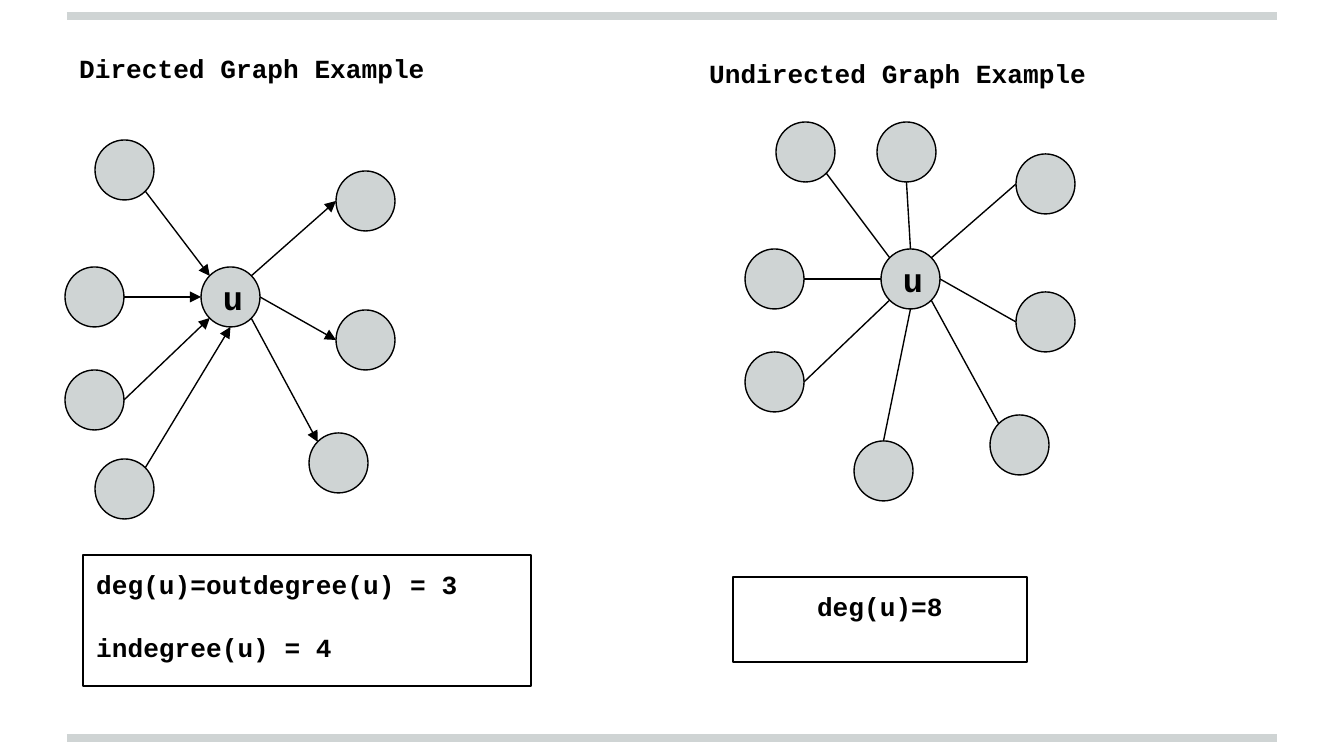
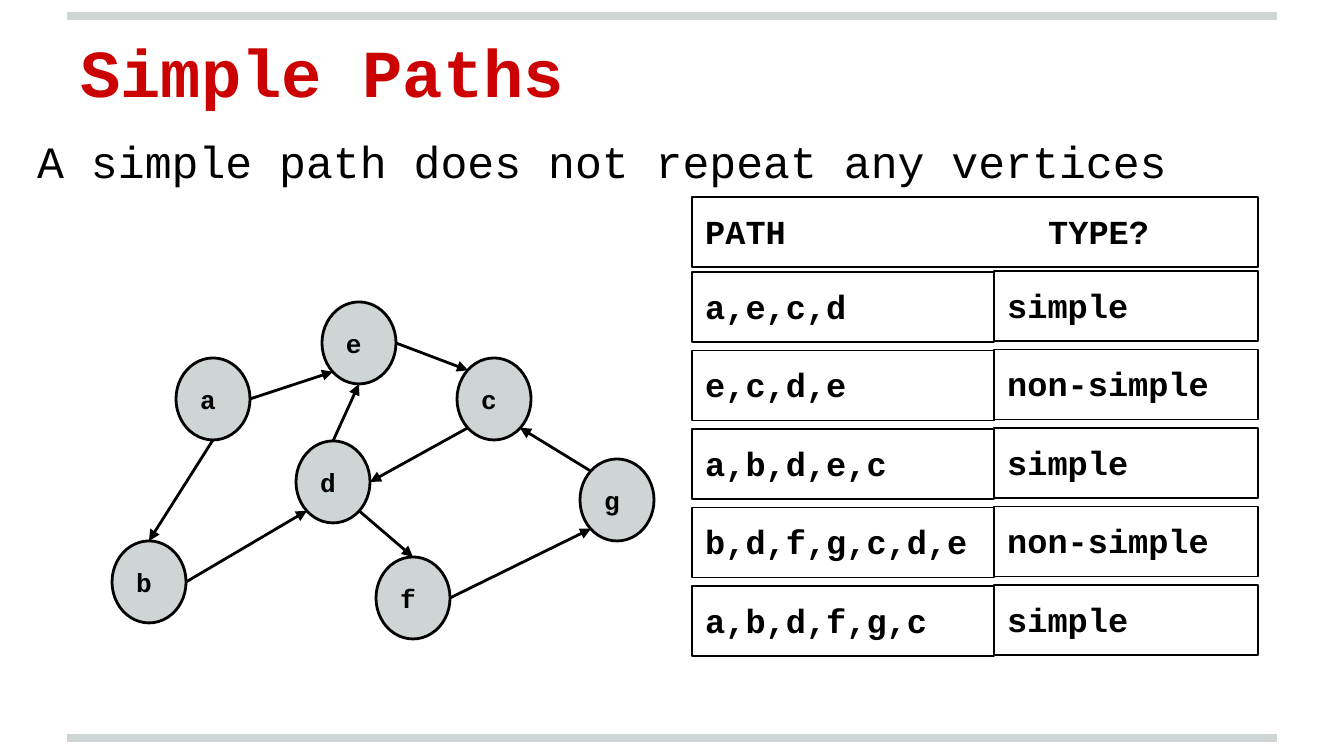
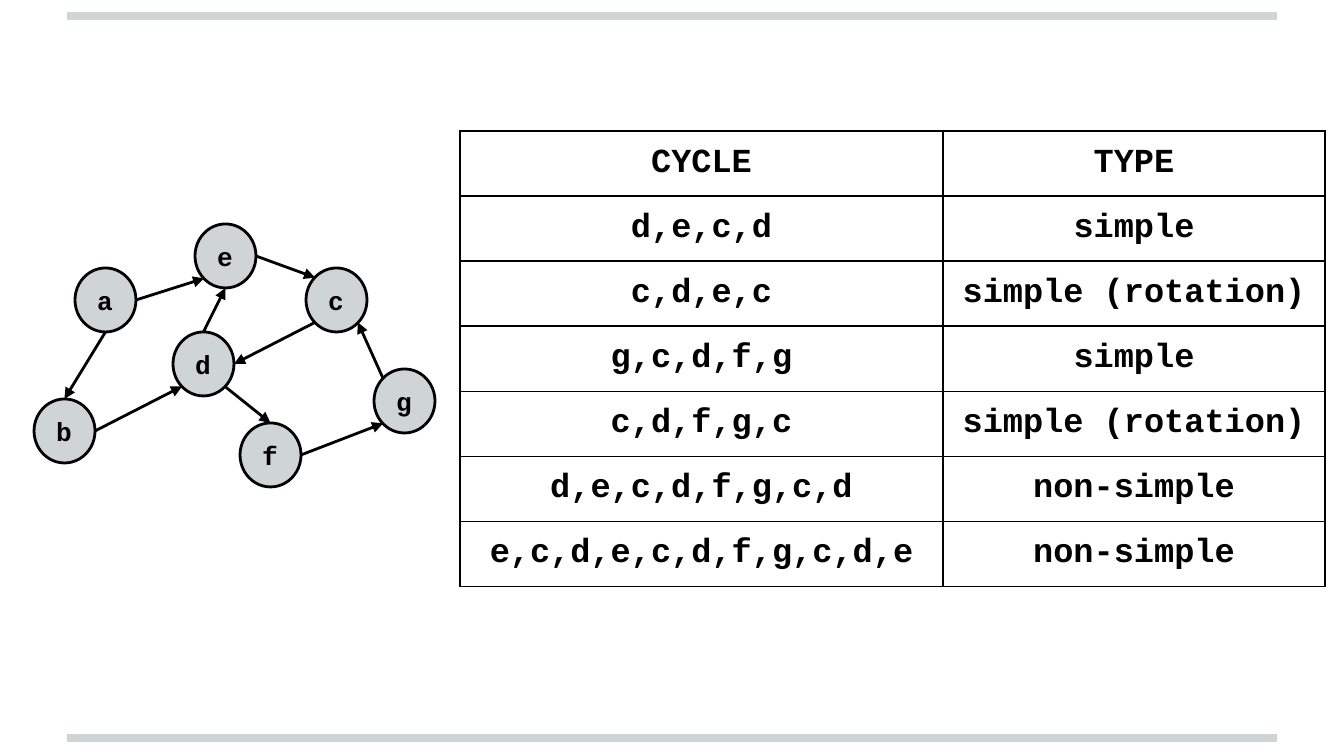
from lxml.etree import SubElement
from pptx import Presentation
from pptx.dml.color import RGBColor
from pptx.enum.shapes import MSO_CONNECTOR, MSO_SHAPE
from pptx.enum.text import MSO_ANCHOR, PP_ALIGN
from pptx.oxml import parse_xml
from pptx.oxml.ns import nsdecls, qn
from pptx.util import Pt

# Shared look
PX = 914400 / 134.4
SLIDE_SIZE = (1344, 756)
INSET = 13.44
FONT = "Courier New"
BLACK = RGBColor(0x00, 0x00, 0x00)
RED = RGBColor(0xCC, 0x02, 0x02)
GREY = RGBColor(0xCF, 0xD4, 0xD4)
THIN, THICK, BAND = 0.75, 1.5, 4
BAND_LEFT, BAND_RIGHT, BAND_ROWS = 67, 1277, (738, 16)

# Points on an ellipse, as fractions of its width and height
NEAR, FAR = 0.15, 0.85
ANCHORS = {
    "top": (0.5, 0), "bottom": (0.5, 1), "left": (0, 0.5), "right": (1, 0.5),
    "top left": (NEAR, NEAR), "top right": (FAR, NEAR),
    "bottom left": (NEAR, FAR), "bottom right": (FAR, FAR),
}

# Slide 1: vertex degrees
DEGREE_NODE = (59, 60)
DIRECTED_NODES = {
    "u": (201, 267), "in 1": (95, 140), "in 2": (65, 267), "in 3": (65, 370),
    "in 4": (95, 459), "out 1": (336, 171), "out 2": (336, 310), "out 3": (309, 433),
}
DIRECTED_EDGES = [
    ("in 1", "bottom right", "u", "top left"),
    ("in 2", "right", "u", "left"),
    ("in 3", "right", "u", "bottom left"),
    ("in 4", "top right", "u", "bottom"),
    ("u", "top right", "out 1", "left"),
    ("u", "right", "out 2", "left"),
    ("u", "bottom right", "out 3", "top left"),
]
UNDIRECTED_NODES = {
    "u": (881, 249), "1": (776, 122), "2": (745, 249), "3": (745, 352), "4": (854, 441),
    "5": (1016, 154), "6": (1016, 292), "7": (990, 415), "8": (877, 122),
}
UNDIRECTED_EDGES = [
    ("1", "bottom right", "u", "top left"),
    ("2", "right", "u", "left"),
    ("3", "right", "u", "bottom left"),
    ("4", "top", "u", "bottom"),
    ("u", "top right", "5", "left"),
    ("u", "right", "6", "left"),
    ("u", "bottom right", "7", "top left"),
    ("8", "bottom", "u", "top"),
]
HEADINGS = [
    ("Directed Graph Example", (66, 39, 380, 66)),
    ("Undirected Graph Example", (696, 44, 465, 66)),
]
DEGREES = [
    (["deg(u)=outdegree(u) = 3", "indegree(u) = 4"], (83, 555, 448, 131), PP_ALIGN.LEFT),
    (["deg(u)=8"], (733, 577, 294, 85), PP_ALIGN.CENTER),
]

# Slides 2 and 3: one graph, drawn at two sizes
GRAPH_EDGES = [
    ("a", "right", "e", "bottom left"),
    ("e", "right", "c", "top left"),
    ("c", "bottom left", "d", "right"),
    ("d", "top", "e", "bottom"),
    ("a", "bottom", "b", "top"),
    ("b", "right", "d", "bottom left"),
    ("d", "bottom right", "f", "top"),
    ("f", "right", "g", "bottom left"),
    ("g", "top left", "c", "bottom right"),
]
PATH_NODE = (74, 82)
PATH_NODES = {
    "a": (176, 358), "d": (296, 441), "b": (112, 541), "f": (376, 557),
    "c": (457, 358), "g": (580, 459), "e": (322, 302),
}
CYCLE_NODE = (61, 64)
CYCLE_NODES = {
    "a": (75, 268), "d": (173, 332), "b": (34, 399), "f": (240, 423),
    "c": (306, 268), "g": (374, 369), "e": (195, 224),
}
PATHS = [
    ("a,e,c,d", "simple"),
    ("e,c,d,e", "non-simple"),
    ("a,b,d,e,c", "simple"),
    ("b,d,f,g,c,d,e", "non-simple"),
    ("a,b,d,f,g,c", "simple"),
]
CYCLES = [
    ("CYCLE", "TYPE"),
    ("d,e,c,d", "simple"),
    ("c,d,e,c", "simple (rotation)"),
    ("g,c,d,f,g", "simple"),
    ("c,d,f,g,c", "simple (rotation)"),
    ("d,e,c,d,f,g,c,d", "non-simple"),
    ("e,c,d,e,c,d,f,g,c,d,e", "non-simple"),
]
CYCLE_COLUMNS = (483, 382)
CYCLE_ROW = 57


def px(*lengths):
    return [round(length * PX) for length in lengths]


def write(frame, lines, size, bold=True, color=BLACK, align=PP_ALIGN.LEFT, gap=0):
    for index, line in enumerate(lines):
        paragraph = frame.paragraphs[0] if index == 0 else frame.add_paragraph()
        paragraph.alignment = align
        if index:
            paragraph.space_before = Pt(gap)
        run = paragraph.add_run()
        run.text = line
        run.font.name, run.font.size = FONT, Pt(size)
        run.font.bold, run.font.color.rgb = bold, color


def set_frame(frame, anchor):
    frame.word_wrap = True
    frame.vertical_anchor = anchor
    frame.margin_left, frame.margin_top, frame.margin_right, frame.margin_bottom = px(*[INSET] * 4)


def add_text(slide, text, box, size, anchor=MSO_ANCHOR.TOP, **style):
    frame = slide.shapes.add_textbox(*px(*box)).text_frame
    set_frame(frame, anchor)
    write(frame, [text], size, **style)


def add_outlined(slide, kind, box, width, fill=None, anchor=MSO_ANCHOR.TOP):
    shape = slide.shapes.add_shape(kind, *px(*box))
    shape.shadow.inherit = False
    if fill is None:
        shape.fill.background()
    else:
        shape.fill.solid()
        shape.fill.fore_color.rgb = fill
    shape.line.color.rgb, shape.line.width = BLACK, Pt(width)
    set_frame(shape.text_frame, anchor)
    return shape


def add_box(slide, lines, box, size, **style):
    shape = add_outlined(slide, MSO_SHAPE.RECTANGLE, box, THIN)
    write(shape.text_frame, lines, size, **style)
    return shape


def add_line(slide, start, end, width, color=BLACK, arrow=False):
    line = slide.shapes.add_connector(MSO_CONNECTOR.STRAIGHT, *px(*start, *end))
    line.line.color.rgb, line.line.width = color, Pt(width)
    if arrow:
        SubElement(line.line._get_or_add_ln(), qn("a:tailEnd"), type="triangle")
    SubElement(line._element.spPr, qn("a:effectLst"))


def add_graph(slide, nodes, node_size, edges, width, label_size, arrow=True):
    for name, corner in nodes.items():
        node = add_outlined(slide, MSO_SHAPE.OVAL, (*corner, *node_size), width, GREY,
                            MSO_ANCHOR.MIDDLE)
        if name.isalpha():
            write(node.text_frame, [name], label_size)

    def point(name, anchor):
        return [corner + fraction * size for corner, fraction, size
                in zip(nodes[name], ANCHORS[anchor], node_size)]

    for source, source_anchor, target, target_anchor in edges:
        add_line(slide, point(source, source_anchor), point(target, target_anchor),
                 width, arrow=arrow)


def add_slide(presentation):
    slide = presentation.slides.add_slide(presentation.slide_layouts[6])
    for y in BAND_ROWS:
        add_line(slide, (BAND_LEFT, y), (BAND_RIGHT, y), BAND, GREY)
    return slide


def set_borders(cell):
    properties = cell._tc.get_or_add_tcPr()
    for index, side in enumerate(("lnL", "lnR", "lnT", "lnB")):
        properties.insert(index, parse_xml(
            f'<a:{side} {nsdecls("a")} w="{Pt(THIN)}"><a:solidFill>'
            f'<a:srgbClr val="{BLACK}"/></a:solidFill></a:{side}>'))


def build_degrees(presentation):
    slide = add_slide(presentation)
    add_graph(slide, DIRECTED_NODES, DEGREE_NODE, DIRECTED_EDGES, THIN, 18)
    add_graph(slide, UNDIRECTED_NODES, DEGREE_NODE, UNDIRECTED_EDGES, THIN, 18, arrow=False)
    for heading, box in HEADINGS:
        add_text(slide, heading, box, 14)
    for lines, box, align in DEGREES:
        add_box(slide, lines, box, 14, align=align, gap=17)


def build_paths(presentation):
    slide = add_slide(presentation)
    add_text(slide, "Simple Paths", (67, -3, 1210, 127), 36, MSO_ANCHOR.BOTTOM, color=RED)
    add_text(slide, "A simple path does not repeat any vertices", (24, 120, 1253, 110), 24,
             bold=False)
    add_graph(slide, PATH_NODES, PATH_NODE, GRAPH_EDGES, THICK, 14)

    # Header with a tab stop above the second column
    left, middle, right, height = 692, 994, 1258, 70
    header = add_box(slide, [], (left, 197, right - left, height), 18)
    properties = header.text_frame.paragraphs[0]._p.get_or_add_pPr()
    tabs = SubElement(properties, qn("a:tabLst"))
    SubElement(tabs, qn("a:tab"), pos=str(px(343)[0]), algn="l")
    write(header.text_frame, ["PATH\tTYPE?"], 18)

    for index, (path_text, kind) in enumerate(PATHS):
        top = 272 + 78.5 * index
        add_box(slide, [path_text], (left, top, middle - left, height), 18)
        add_box(slide, [kind], (middle, top - 1, right - middle, height), 18)


def build_cycles(presentation):
    slide = add_slide(presentation)
    add_graph(slide, CYCLE_NODES, CYCLE_NODE, GRAPH_EDGES, THICK, 14)
    box = (460, 131, sum(CYCLE_COLUMNS), CYCLE_ROW * len(CYCLES))
    table = slide.shapes.add_table(len(CYCLES), len(CYCLE_COLUMNS), *px(*box)).table
    table.first_row = table.horz_banding = False
    for column, width in zip(table.columns, px(*CYCLE_COLUMNS)):
        column.width = width
    for row, texts in zip(table.rows, CYCLES):
        row.height = px(CYCLE_ROW)[0]
        for cell, text in zip(row.cells, texts):
            cell.margin_left, cell.margin_top, cell.margin_right, cell.margin_bottom = px(
                *[INSET] * 4)
            cell.fill.background()
            set_borders(cell)
            write(cell.text_frame, [text], 18, align=PP_ALIGN.CENTER)


def main():
    presentation = Presentation()
    presentation.slide_width, presentation.slide_height = px(*SLIDE_SIZE)
    build_degrees(presentation)
    build_paths(presentation)
    build_cycles(presentation)
    presentation.save("out.pptx")


if __name__ == "__main__":
    main()
